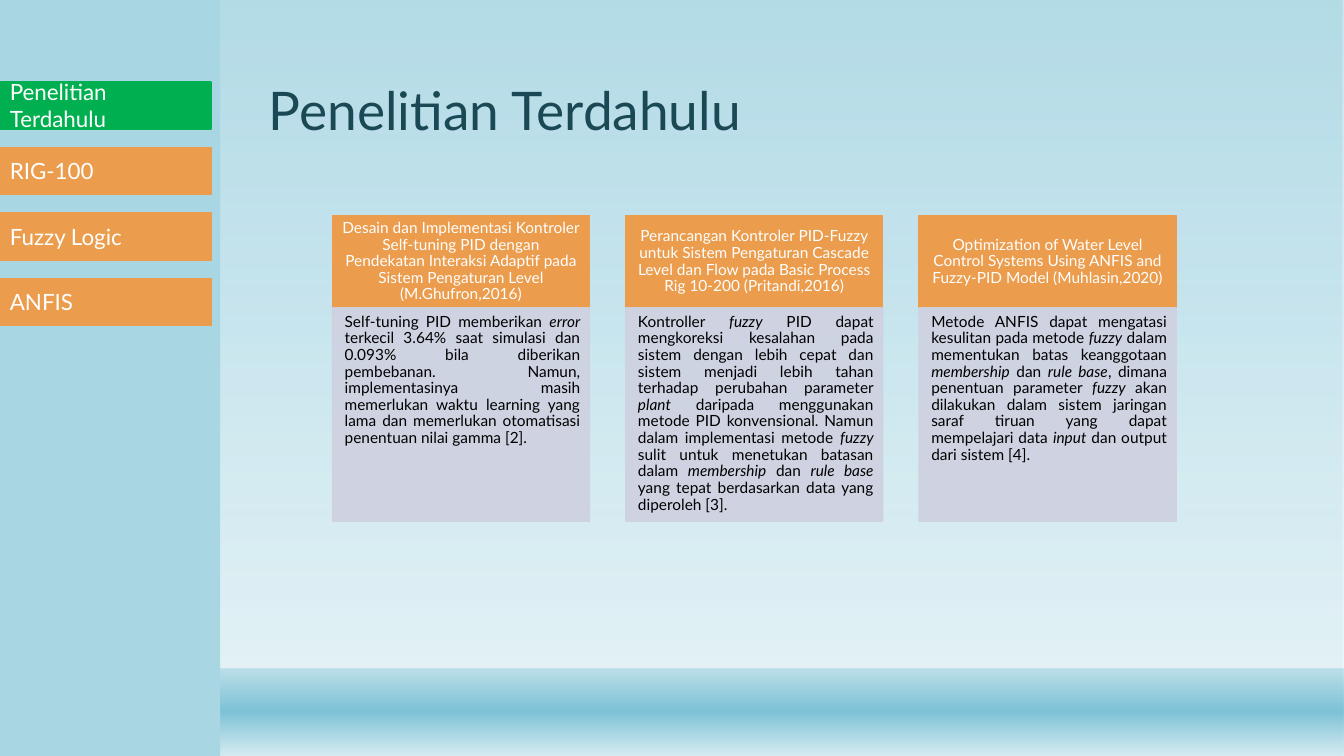
from dataclasses import dataclass

import pptx
import pptx.dml.color
import pptx.enum.shapes
import pptx.enum.text
import pptx.oxml
import pptx.oxml.ns
import pptx.util
from lxml import etree

Pt = pptx.util.Pt
ALIGN = pptx.enum.text.PP_ALIGN
ANCHOR = pptx.enum.text.MSO_ANCHOR
qn = pptx.oxml.ns.qn


@dataclass(frozen=True)
class Theme:
    font: str = "Lato"
    title_size: int = 38
    menu_size: int = 16
    card_size: int = 11
    title: str = "1B4855"
    light_text: str = "FFFFFF"
    dark_text: str = "000000"
    accent: str = "EB9C4D"
    active: str = "00B050"
    card: str = "CFD1E0"
    sidebar: str = "A8D7E3"
    water: str = "7DC2D6"
    mist: str = "D4EBF1"


class StudySlide:
    def __init__(self, slide, theme):
        self.slide = slide
        self.theme = theme

    def rectangle(self, left, top, width, height, color=None, outlined=False, opacity=100):
        rect = self.slide.shapes.add_shape(
            pptx.enum.shapes.MSO_SHAPE.RECTANGLE, Pt(left), Pt(top), Pt(width), Pt(height))
        rect.shadow.inherit = False
        paints = [rect.fill]
        if outlined:
            rect.line.width = Pt(1)
            paints.append(rect.line.fill)
        else:
            rect.line.fill.background()
        for paint in paints:
            if color is None:
                paint.background()
            else:
                paint.solid()
                paint.fore_color.rgb = pptx.dml.color.RGBColor.from_string(color)
        if opacity < 100:
            for rgb in rect._element.spPr.iter(qn("a:srgbClr")):
                etree.SubElement(rgb, qn("a:alpha"), val=str(opacity * 1000))
        return rect

    def gradient(self, left, top, width, height, stops):
        """Draw a vertical gradient; each stop is (position %, color, opacity %)."""
        rect = self.rectangle(left, top, width, height)
        stop_xml = "".join(
            f'<a:gs pos="{position * 1000}"><a:srgbClr val="{color}">'
            f'<a:alpha val="{opacity * 1000}"/></a:srgbClr></a:gs>'
            for position, color, opacity in stops)
        gradient_fill = pptx.oxml.parse_xml(
            f'<a:gradFill {pptx.oxml.ns.nsdecls("a")} rotWithShape="1"><a:gsLst>{stop_xml}</a:gsLst>'
            '<a:lin ang="5400000" scaled="0"/></a:gradFill>')
        properties = rect._element.spPr
        properties.replace(properties.find(qn("a:noFill")), gradient_fill)

    def set_text(self, shape, text, size, color, align=ALIGN.LEFT, anchor=ANCHOR.MIDDLE,
                 margins=(7.2, 3.6, 7.2, 3.6), line_spacing=1.0):
        """Fill a shape with one paragraph; words between asterisks are italic."""
        frame = shape.text_frame
        frame.word_wrap = True
        frame.vertical_anchor = anchor
        (frame.margin_left, frame.margin_top,
         frame.margin_right, frame.margin_bottom) = map(Pt, margins)
        paragraph = frame.paragraphs[0]
        paragraph.alignment = align
        paragraph.line_spacing = line_spacing
        for index, words in enumerate(text.split("*")):
            run = paragraph.add_run()
            run.text = words
            run.font.name = self.theme.font
            run.font.size = Pt(size)
            run.font.italic = index % 2 == 1
            run.font.color.rgb = pptx.dml.color.RGBColor.from_string(color)

    def title(self, text):
        heading = self.slide.shapes.add_textbox(Pt(185), Pt(19.5), Pt(749), Pt(85.5))
        self.set_text(heading, text, self.theme.title_size, self.theme.title,
                      anchor=ANCHOR.BOTTOM, line_spacing=0.9)

    def menu_item(self, top, text, active):
        color = self.theme.active if active else self.theme.accent
        item = self.rectangle(0, top, 150.8, 33.6, color, outlined=True)
        self.set_text(item, text, self.theme.menu_size, self.theme.light_text)

    def study_card(self, left, study, finding):
        theme = self.theme
        header = self.rectangle(left, 154, 183.6, 65.8, theme.accent, outlined=True)
        self.set_text(header, study, theme.card_size, theme.light_text, ALIGN.CENTER,
                      margins=(6.5, 3.6, 6.5, 3.6), line_spacing=0.9)
        body = self.rectangle(left, 219.8, 183.6, 152.6, theme.card, outlined=True, opacity=90)
        self.set_text(body, finding, theme.card_size, theme.dark_text, ALIGN.JUSTIFY,
                      ANCHOR.TOP, margins=(8.7, 4.4, 6.5, 7), line_spacing=0.9)


MENU = ["Penelitian Terdahulu", "RIG-100", "Fuzzy Logic", "ANFIS"]

STUDIES = [
    ("Desain dan Implementasi Kontroler Self-tuning PID dengan Pendekatan Interaksi "
     "Adaptif pada Sistem Pengaturan Level (M.Ghufron,2016)",
     "Self-tuning PID memberikan *error* terkecil 3.64% saat simulasi dan 0.093% bila "
     "diberikan pembebanan. Namun, implementasinya masih memerlukan waktu learning yang "
     "lama dan memerlukan otomatisasi penentuan nilai gamma [2]."),
    ("Perancangan Kontroler PID-Fuzzy untuk Sistem Pengaturan Cascade Level dan Flow "
     "pada Basic Process Rig 10-200 (Pritandi,2016)",
     "Kontroller *fuzzy* PID dapat mengkoreksi kesalahan pada sistem dengan lebih cepat "
     "dan sistem menjadi lebih tahan terhadap perubahan parameter *plant* daripada "
     "menggunakan metode PID konvensional. Namun dalam implementasi metode *fuzzy* sulit "
     "untuk menetukan batasan dalam *membership* dan *rule base* yang tepat berdasarkan "
     "data yang diperoleh [3]."),
    ("Optimization of Water Level Control Systems Using ANFIS and Fuzzy-PID Model "
     "(Muhlasin,2020)",
     "Metode ANFIS dapat mengatasi kesulitan pada metode *fuzzy* dalam mementukan batas "
     "keanggotaan *membership* dan *rule base*, dimana penentuan parameter *fuzzy* akan "
     "dilakukan dalam sistem jaringan saraf tiruan yang dapat mempelajari data *input* "
     "dan output dari sistem [4]."),
]


def main():
    deck = pptx.Presentation()
    deck.slide_width, deck.slide_height = Pt(960), Pt(540)
    theme = Theme()
    page = StudySlide(deck.slides.add_slide(deck.slide_layouts[6]), theme)

    page.gradient(0, 0, 960, 540, [(0, theme.water, 58), (88, theme.mist, 65)])
    page.gradient(0, 477.4, 960, 62.6,
                  [(1, theme.water, 38), (49, theme.water, 100), (100, theme.mist, 89)])
    page.title("Penelitian Terdahulu")
    for column, (study, finding) in enumerate(STUDIES):
        page.study_card(237.5 + column * 209.5, study, finding)
    page.rectangle(0, 0, 157.2, 540, theme.sidebar)
    for row, topic in enumerate(MENU):
        page.menu_item(58.5 + row * 46.8, topic, active=row == 0)

    deck.save("out.pptx")


if __name__ == "__main__":
    main()
